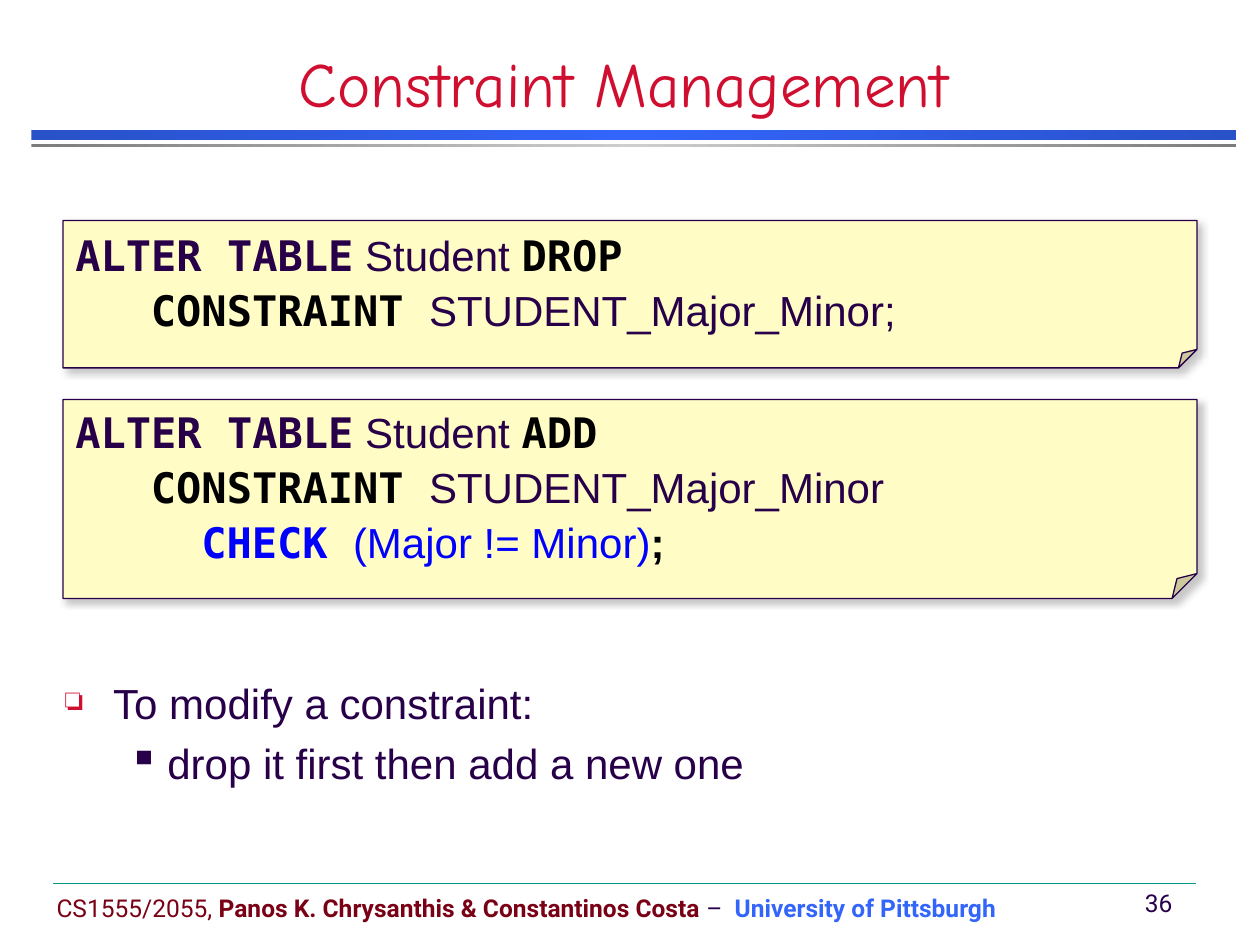
from lxml import etree
from pptx import Presentation
from pptx.dml.color import RGBColor
from pptx.enum.shapes import MSO_CONNECTOR, MSO_SHAPE
from pptx.enum.text import MSO_ANCHOR as ANCHOR, PP_ALIGN as ALIGN
from pptx.oxml import parse_xml
from pptx.oxml.ns import nsdecls, qn
from pptx.util import Inches, Pt

COLORS = {
    "ink": "280049", "red": "CF0E30", "maroon": "790015", "blue": "3365FB",
    "deep_blue": "2951C9", "gray": "7C7C7C", "silver": "CECECE", "teal": "009688",
    "note": "FFFDC5", "shadow": "808080", "black": "000000", "code_blue": "0000FF",
}
RGB = {name: RGBColor.from_string(value) for name, value in COLORS.items()}
MONO, SANS = "DejaVu Sans Mono", "Arial"


def add_text(box, anchor, paragraphs):
    """Fill a shape with (paragraph format, runs); a run is (text, font, size, colour, bold)."""
    tf = box.text_frame
    tf.word_wrap = True
    tf.vertical_anchor = anchor
    for i, (fmt, runs) in enumerate(paragraphs):
        p = tf.paragraphs[0] if i == 0 else tf.add_paragraph()
        for name, value in fmt.items():
            setattr(p, name, value)
        for text, font, size, color, bold in runs:
            r = p.add_run()
            r.text = text
            r.font.color.rgb = RGB[color]
            for name, value in {"name": font, "size": Pt(size), "bold": bold}.items():
                setattr(r.font, name, value)
    return tf


prs = Presentation()
prs.slide_width, prs.slide_height = Inches(10), Inches(7.5)
s = prs.slides.add_slide(prs.slide_layouts[6])

# Title rule: a blue band over a thin gray one
for top, height, edge, middle in [(1.03, 0.08, "deep_blue", "blue"),
                                  (1.14, 0.03, "gray", "silver")]:
    sp = s.shapes.add_shape(MSO_SHAPE.RECTANGLE, Inches(0.25), Inches(top),
                            Inches(9.56), Inches(height))
    sp.shadow.inherit = False
    sp.line.fill.background()
    stops = "".join(f'<a:gs pos="{pos}"><a:srgbClr val="{COLORS[c]}"/></a:gs>'
                    for pos, c in [(0, edge), (50000, middle), (100000, edge)])
    sp._element.spPr.find(qn("a:prstGeom")).addnext(parse_xml(
        f'<a:gradFill {nsdecls("a")}><a:gsLst>{stops}</a:gsLst><a:lin ang="0"/></a:gradFill>'))

# Footer line
line = s.shapes.add_connector(MSO_CONNECTOR.STRAIGHT, Inches(0.42), Inches(7.01),
                              Inches(9.49), Inches(7.01))
line.line.color.rgb = RGB["teal"]
line.line.width = Pt(0.25)
etree.SubElement(line._element.spPr, qn("a:effectLst"))

# Title, footer and page number
centered = {"alignment": ALIGN.CENTER}
footer_runs = [("CS1555/2055, ", "maroon", False),
               ("Panos K. Chrysanthis & Constantinos Costa", "maroon", True),
               (" –  ", "ink", False),
               ("University of Pittsburgh", "blue", True)]
labels = [
    ((0, 0.42, 9.9, 0.58), ANCHOR.BOTTOM, centered,
     [("Constraint Management", "Comic Neue", 36, "red", False)]),
    ((0.35, 7.04, 8.11, 0.33), ANCHOR.MIDDLE, {},
     [(text, "Roboto", 14, color, bold) for text, color, bold in footer_runs]),
    ((8.95, 7, 0.49, 0.33), ANCHOR.MIDDLE, centered,
     [("36", "Roboto", 14, "ink", False)]),
]
for place, anchor, fmt, runs in labels:
    add_text(s.shapes.add_textbox(*map(Inches, place)), anchor, [(fmt, runs)])

# Bulleted advice: text, left margin, hanging indent, bullet, its colour and size
bullets = [("To modify a constraint:", 0.38, 0.38, "❏", "red", 75),
           ("drop it first then add a new one", 0.81, 0.31, "▪", "ink", 100)]
body = s.shapes.add_textbox(Inches(0.42), Inches(5.33), Inches(8.75), Inches(1.75))
tf = add_text(body, ANCHOR.TOP,
              [({"space_before": Pt(5.5), "level": level},
                [(item[0], SANS, 24, "ink", False)]) for level, item in enumerate(bullets)])
for p, (_, margin, hang, char, color, size) in zip(tf.paragraphs, bullets):
    pPr = p._p.get_or_add_pPr()
    pPr.set("marL", str(Inches(margin)))
    pPr.set("indent", str(-Inches(hang)))
    for xml in (f'<a:buClr {nsdecls("a")}><a:srgbClr val="{COLORS[color]}"/></a:buClr>',
                f'<a:buSzPct {nsdecls("a")} val="{size * 1000}"/>',
                f'<a:buChar {nsdecls("a")} char="{char}"/>'):
        pPr.append(parse_xml(xml))

# SQL notes: top, height, top inset, first space, lines of (indent, runs)
notes = [
    (1.75, 1.17, 0.05, 5.5, [
        (0, [("ALTER TABLE", MONO, "ink", True), (" Student ", SANS, "ink", False),
             ("DROP", MONO, "black", True)]),
        (0.6, [("CONSTRAINT ", MONO, "black", True),
               ("STUDENT_Major_Minor;", SANS, "ink", False)])]),
    (3.17, 1.58, 0.1, 11.8, [
        (0, [("ALTER TABLE", MONO, "ink", True), (" Student ", SANS, "ink", False),
             ("ADD", MONO, "black", True)]),
        (0.6, [("CONSTRAINT ", MONO, "black", True),
               ("STUDENT_Major_Minor", SANS, "ink", False)]),
        (1, [("CHECK ", MONO, "code_blue", True),
             ("(Major != Minor)", SANS, "code_blue", False),
             (";", SANS, "black", True)])]),
]
for top, height, inset, first_space, lines in notes:
    sp = s.shapes.add_shape(MSO_SHAPE.FOLDED_CORNER, Inches(0.5), Inches(top),
                            Inches(9), Inches(height))
    geometry = sp._element.spPr.find(qn("a:prstGeom"))
    etree.SubElement(geometry.get_or_add_avLst(), qn("a:gd"), name="adj", fmla="val 12500")
    sp.fill.solid()
    sp.fill.fore_color.rgb = RGB["note"]
    sp.line.color.rgb = RGB["ink"]
    sp.line.width = Pt(0.75)
    sp._element.spPr.append(parse_xml(
        f'<a:effectLst {nsdecls("a")}><a:outerShdw blurRad="{Pt(4)}" dist="{Pt(3)}" '
        f'dir="2700000"><a:srgbClr val="{COLORS["shadow"]}"><a:alpha val="43000"/>'
        '</a:srgbClr></a:outerShdw></a:effectLst>'))
    tf = add_text(sp, ANCHOR.MIDDLE, [
        ({"alignment": ALIGN.LEFT, "line_spacing": 0.9,
          "space_before": Pt(5.5 if i else first_space)},
         [(text, font, 24, color, bold) for text, font, color, bold in runs])
        for i, (_, runs) in enumerate(lines)])
    tf.margin_top = Inches(inset)
    for p, (indent, _) in zip(tf.paragraphs, lines):
        p._p.get_or_add_pPr().set("marL", str(Inches(indent)))

prs.save("out.pptx")
